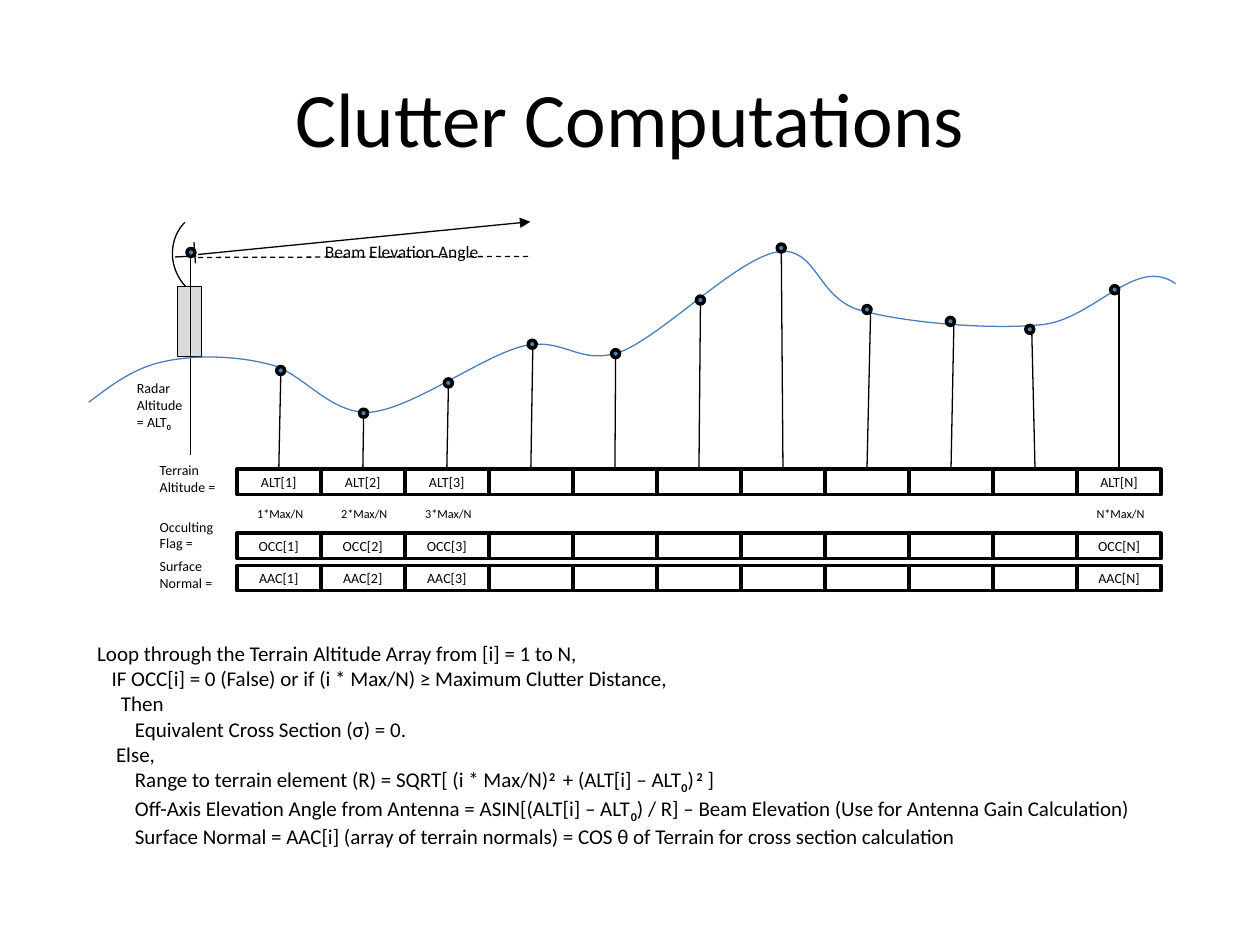
from dataclasses import dataclass
from typing import NamedTuple

from lxml.etree import SubElement
from pptx import Presentation
from pptx.dml.color import RGBColor
from pptx.enum.dml import MSO_LINE_DASH_STYLE as Dash
from pptx.enum.shapes import MSO_CONNECTOR as Connector, MSO_SHAPE as Preset
from pptx.enum.text import MSO_ANCHOR as Anchor, PP_ALIGN as Align
from pptx.oxml.ns import qn
from pptx.util import Cm, Pt


@dataclass(frozen=True)
class Theme:
    font: str = "Calibri"
    ink: RGBColor = RGBColor(0, 0, 0)
    terrain: RGBColor = RGBColor(0x4B, 0x7E, 0xBC)
    sample: RGBColor = RGBColor(0x4F, 0x81, 0xBD)
    tower: RGBColor = RGBColor(0xD9, 0xD9, 0xD9)
    title: float = 44
    body: float = 12
    beam: float = 10
    label: float = 8
    distance: float = 7
    thin: float = 0.75
    thick: float = 2


class Point(NamedTuple):
    x: float
    y: float


class Box(NamedTuple):
    left: float
    top: float
    width: float
    height: float


class Piece(NamedTuple):
    text: str
    baseline: int = 0


class Line(NamedTuple):
    pieces: tuple[Piece, ...]
    indent: float = 0


class Sample(NamedTuple):
    dot: Point
    stem: Point


class ArrayRow(NamedTuple):
    name: str
    top: float
    caption: tuple[str, str]
    caption_top: float


THEME = Theme()
SUB, SUPER = -25000, 30000
FIRST_X, LAST_X, COUNT = 5.62, 22.56, 11
PITCH = (LAST_X - FIRST_X) / (COUNT - 1)
CELL_WIDTH, CELL_HEIGHT, DOT = 1.69, 0.51, 0.16
INDEXES = {0: "1", 1: "2", 2: "3", COUNT - 1: "N"}

ROWS = (
    ArrayRow("ALT", 9.46, ("Terrain", "Altitude ="), 9.18),
    ArrayRow("OCC", 10.75, ("Occulting", "Flag ="), 10.32),
    ArrayRow("AAC", 11.4, ("Surface", "Normal ="), 11.11),
)

SAMPLES = (
    Sample(Point(5.66, 7.47), Point(5.66, 7.54)),
    Sample(Point(7.33, 8.33), Point(7.33, 8.41)),
    Sample(Point(9.04, 7.72), Point(9.04, 7.8)),
    Sample(Point(10.73, 6.94), Point(10.74, 7.04)),
    Sample(Point(12.41, 7.13), Point(12.41, 7.21)),
    Sample(Point(14.12, 6.05), Point(14.12, 6.15)),
    Sample(Point(15.75, 5.0), Point(15.75, 5.08)),
    Sample(Point(17.48, 6.24), Point(17.55, 6.3)),
    Sample(Point(19.16, 6.48), Point(19.23, 6.48)),
    Sample(Point(20.76, 6.64), Point(20.8, 6.71)),
    Sample(Point(22.47, 5.84), Point(22.56, 5.84)),
)

TERRAIN_START = Point(1.79, 8.11)
TERRAIN_CURVES = (
    (Point(2.24, 7.77), Point(2.69, 7.42), Point(3.3, 7.29)),
    (Point(3.89, 7.16), Point(4.7, 7.16), Point(5.41, 7.34)),
    (Point(6.1, 7.49), Point(6.63, 8.36), Point(7.47, 8.31)),
    (Point(8.33, 8.23), Point(9.7, 7.19), Point(10.54, 6.98)),
    (Point(11.38, 6.78), Point(11.66, 7.39), Point(12.52, 7.09)),
    (Point(13.36, 6.76), Point(14.86, 5.21), Point(15.67, 5.08)),
    (Point(16.46, 4.95), Point(16.46, 5.99), Point(17.32, 6.25)),
    (Point(18.21, 6.5), Point(19.89, 6.65), Point(20.96, 6.55)),
    (Point(22.02, 6.48), Point(22.89, 5.13), Point(23.7, 5.72)),
)


def plain(text: str, indent: float = 0) -> Line:
    return Line((Piece(text),), indent)


ALGORITHM = (
    plain("Loop through the Terrain Altitude Array from [i] = 1 to N,"),
    plain("IF OCC[i] = 0 (False) or if (i * Max/N) ≥ Maximum Clutter Distance,", 0.29),
    plain("Then", 0.48),
    plain("Equivalent Cross Section (σ) = 0.", 0.76),
    plain("Else,", 0.38),
    Line((Piece("Range to terrain element (R) = SQRT[ (i * Max/N)"), Piece("2 ", SUPER),
          Piece(" + (ALT[i] – ALT"), Piece("0", SUB), Piece(")"), Piece(" 2", SUPER),
          Piece(" ]")), 0.76),
    Line((Piece("Off-Axis Elevation Angle from Antenna = ASIN[(ALT[i] – ALT"), Piece("0", SUB),
          Piece(") / R] – Beam Elevation (Use for Antenna Gain Calculation)")), 0.76),
    plain("Surface Normal = AAC[i] (array of terrain normals) = COS θ of Terrain "
          "for cross section calculation", 0.76),
)

deck = Presentation()
deck.slide_width, deck.slide_height = Cm(25.4), Cm(19.05)
canvas = deck.slides.add_slide(deck.slide_layouts[6]).shapes


def write(frame, lines: tuple[Line, ...], size: float, align=Align.LEFT) -> None:
    for number, line in enumerate(lines):
        paragraph = frame.add_paragraph() if number else frame.paragraphs[0]
        paragraph.alignment = align
        if line.indent:
            paragraph._p.get_or_add_pPr().set("marL", str(Cm(line.indent)))
        for piece in line.pieces:
            run = paragraph.add_run()
            run.text = piece.text
            run.font.name, run.font.size = THEME.font, Pt(size)
            run.font.color.rgb = THEME.ink
            if piece.baseline:
                run.font.bold = True
                run.font._element.set("baseline", str(piece.baseline))


def add_text(box: Box, lines: tuple[Line, ...], size: float, centred: bool = False) -> None:
    frame = canvas.add_textbox(*map(Cm, box)).text_frame
    frame.word_wrap = centred
    if centred:
        frame.vertical_anchor = Anchor.MIDDLE
        frame.margin_left = frame.margin_right = 0
    write(frame, lines, size, Align.CENTER if centred else Align.LEFT)


def add_outline(preset: Preset, box: Box, weight: float, fill: RGBColor | None = None):
    outline = canvas.add_shape(preset, *map(Cm, box))
    outline.shadow.inherit = False
    if fill is None:
        outline.fill.background()
    else:
        outline.fill.solid()
        outline.fill.fore_color.rgb = fill
    outline.line.color.rgb, outline.line.width = THEME.ink, Pt(weight)
    return outline


def add_line(start: Point, end: Point):
    line = canvas.add_connector(Connector.STRAIGHT, *map(Cm, (*start, *end)))
    line.line.color.rgb, line.line.width = THEME.ink, Pt(THEME.thin)
    SubElement(line._element.spPr, qn("a:effectLst"))
    return line


def add_dot(centre: Point) -> None:
    box = Box(centre.x - DOT / 2, centre.y - DOT / 2, DOT, DOT)
    add_outline(Preset.OVAL, box, THEME.thick, THEME.sample)


def cell_box(column: int, top: float, shift: float = 0) -> Box:
    left = FIRST_X + column * PITCH - CELL_WIDTH / 2 + shift
    return Box(left, top, CELL_WIDTH, CELL_HEIGHT)


def add_array(row: ArrayRow) -> None:
    for column in range(COUNT):
        cell = add_outline(Preset.RECTANGLE, cell_box(column, row.top), THEME.thick)
        if column in INDEXES:
            cell.text_frame.margin_left = cell.text_frame.margin_right = 0
            write(cell.text_frame, (plain(f"{row.name}[{INDEXES[column]}]"),),
                  THEME.label, Align.CENTER)
    add_text(Box(2.97, row.caption_top, 1.73, 0.94), tuple(map(plain, row.caption)), THEME.label)


def add_terrain() -> None:
    builder = canvas.build_freeform(*map(Cm, TERRAIN_START))
    builder.add_line_segments([tuple(map(Cm, point)) for curve in TERRAIN_CURVES
                               for point in curve], close=False)
    profile = builder.convert_to_shape()
    profile.shadow.inherit = False
    profile.fill.background()
    profile.line.color.rgb, profile.line.width = THEME.terrain, Pt(THEME.thin)
    segments = list(profile._element.iter(qn("a:lnTo")))
    outline = segments[0].getparent()
    for first in range(0, len(segments), 3):
        bend = SubElement(outline, qn("a:cubicBezTo"))
        for segment in segments[first:first + 3]:
            bend.append(segment[0])
            outline.remove(segment)


add_text(Box(1.27, 0.76, 22.86, 3.18), (plain("Clutter Computations"),), THEME.title, True)
add_outline(Preset.ARC, Box(3.45, 4.24, 1.93, 1.83), THEME.thin).rotation = 224.4
add_line(Point(3.53, 5.18), Point(3.96, 5.16))
add_line(Point(3.91, 4.88), Point(3.94, 5.31))
beam = add_line(Point(3.99, 5.13), Point(10.69, 4.47))
SubElement(beam.line._get_or_add_ln(), qn("a:tailEnd"), type="triangle")
add_line(Point(3.99, 5.19), Point(10.72, 5.17)).line.dash_style = Dash.DASH
add_outline(Preset.RECTANGLE, Box(3.58, 5.78, 0.48, 1.4), 0.5, THEME.tower)
add_dot(Point(3.85, 5.09))
add_line(Point(3.84, 5.18), Point(3.84, 9.17))
add_text(Box(2.51, 7.53, 1.47, 1.27),
         (plain("Radar"), plain("Altitude"), Line((Piece("= ALT"), Piece("0", SUB)))), THEME.label)
add_text(Box(6.3, 4.74, 3.99, 0.69), (plain("Beam Elevation Angle"),), THEME.beam)
for array_row in ROWS:
    add_array(array_row)
for column, index in INDEXES.items():
    add_text(cell_box(column, 10.1, 0.03), (plain(f"{index}*Max/N"),), THEME.distance, True)
add_text(Box(1.71, 12.79, 21.41, 4.37), ALGORITHM, THEME.body)
add_terrain()
for column, sample in enumerate(SAMPLES):
    add_dot(sample.dot)
    add_line(sample.stem, Point(FIRST_X + column * PITCH, ROWS[0].top))
deck.save("out.pptx")
